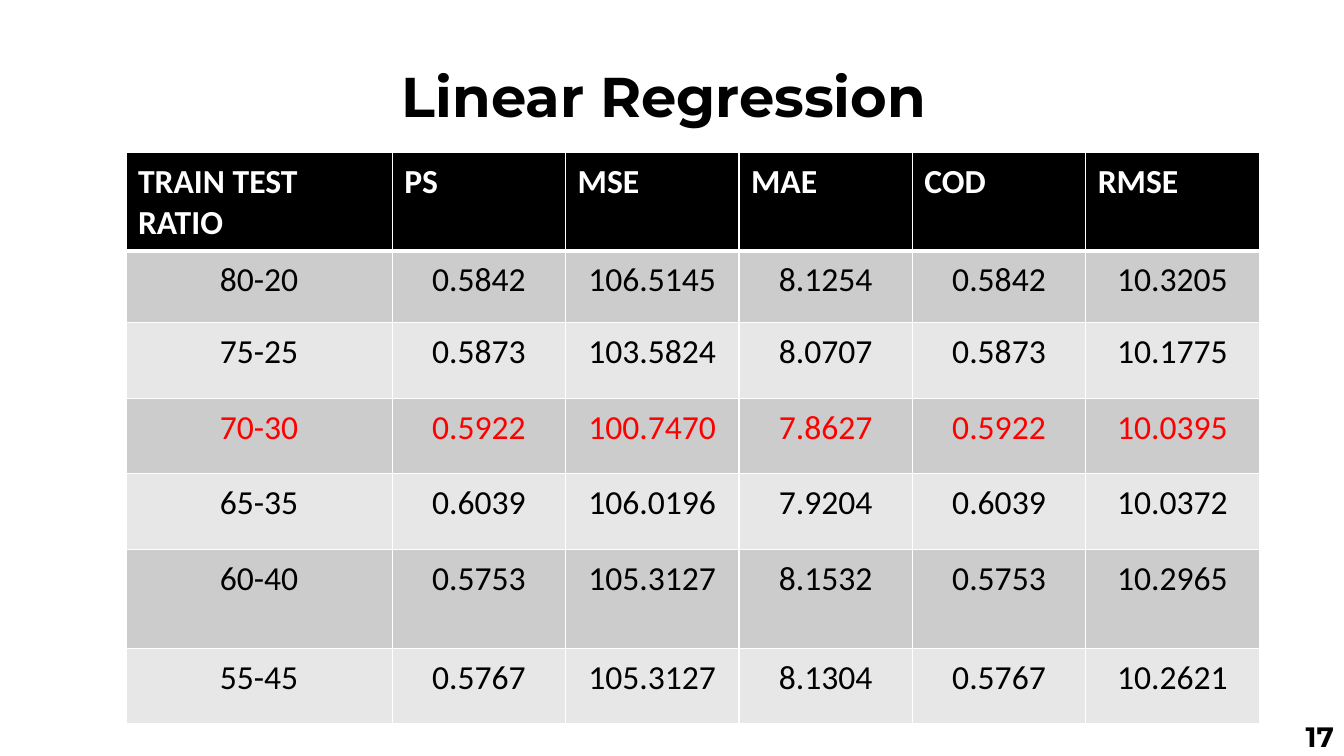
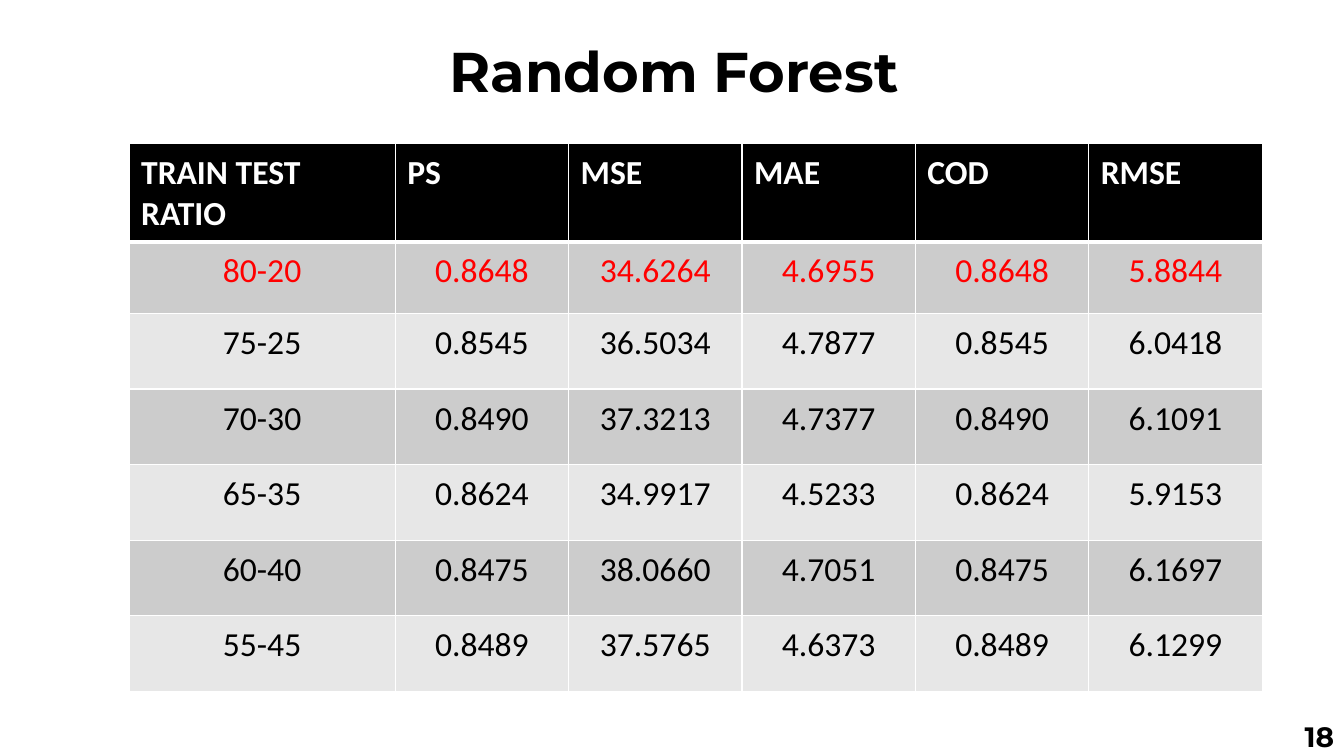
from lxml import etree
from pptx import Presentation
from pptx.dml.color import RGBColor
from pptx.enum.text import MSO_ANCHOR, MSO_AUTO_SIZE, PP_ALIGN
from pptx.oxml.ns import qn
from pptx.util import Inches, Pt

LEFT, CENTER, RIGHT = PP_ALIGN.LEFT, PP_ALIGN.CENTER, PP_ALIGN.RIGHT
TOP, MIDDLE = MSO_ANCHOR.TOP, MSO_ANCHOR.MIDDLE
FIXED = MSO_AUTO_SIZE.NONE

BLACK = RGBColor(0x00, 0x00, 0x00)
WHITE = RGBColor(0xFF, 0xFF, 0xFF)
RED = RGBColor(0xFF, 0x00, 0x00)
BANDS = (RGBColor(0xCC, 0xCC, 0xCC), RGBColor(0xE7, 0xE7, 0xE7))
HEAD_FONT, BODY_FONT = "Montserrat", "Calibri"

WIDE, HIGH = 13.33, 7.5
FIRST_COL = 2.64 / 11.24
HEAD_ROW, FIRST_ROW, ROW, TALL_ROW = 0.97, 0.71, 0.75, 0.98
THIN, THICK = 1, 3
PAD_X, PAD_Y = Inches(0.12), Inches(0.09)

HEADS = ("TRAIN TEST RATIO", "PS", "MSE", "MAE", "COD", "RMSE")
SLIDES = (
    dict(title="Linear Regression", number="17", best="70-30", tall="60-40",
         box=(0.5, 0.56, 12.17, 0.77), align=CENTER, space=1.0,
         grid=(1.25, 1.51, 11.24),
         rows=(("80-20", "0.5842", "106.5145", "8.1254", "0.5842", "10.3205"),
               ("75-25", "0.5873", "103.5824", "8.0707", "0.5873", "10.1775"),
               ("70-30", "0.5922", "100.7470", "7.8627", "0.5922", "10.0395"),
               ("65-35", "0.6039", "106.0196", "7.9204", "0.6039", "10.0372"),
               ("60-40", "0.5753", "105.3127", "8.1532", "0.5753", "10.2965"),
               ("55-45", "0.5767", "105.3127", "8.1304", "0.5767", "10.2621"))),
    dict(title="Random Forest", number="18", best="80-20", tall=None,
         box=(4.36, 0.39, 5.9, 1.4), align=LEFT, space=0.9,
         grid=(1.28, 1.42, 11.24),
         rows=(("80-20", "0.8648", "34.6264", "4.6955", "0.8648", "5.8844"),
               ("75-25", "0.8545", "36.5034", "4.7877", "0.8545", "6.0418"),
               ("70-30", "0.8490", "37.3213", "4.7377", "0.8490", "6.1091"),
               ("65-35", "0.8624", "34.9917", "4.5233", "0.8624", "5.9153"),
               ("60-40", "0.8475", "38.0660", "4.7051", "0.8475", "6.1697"),
               ("55-45", "0.8489", "37.5765", "4.6373", "0.8489", "6.1299"))),
)


def write(frame, text, size=24, font=BODY_FONT, color=BLACK, bold=False,
          align=LEFT, space=1.0):
    """Put one formatted line of text in a text frame."""
    line = frame.paragraphs[0]
    line.alignment, line.line_spacing = align, space
    run = line.add_run()
    run.text = text
    face = run.font
    face.name, face.size, face.bold = font, Pt(size), bold
    face.color.rgb = color


def rule(cell, top, bottom):
    """Draw white borders of the given point widths around a cell."""
    props = cell._tc.get_or_add_tcPr()
    for side, width in zip("LRTB", (THIN, THIN, top, bottom)):
        line = etree.SubElement(props, qn(f"a:ln{side}"), w=str(Pt(width)))
        fill = etree.SubElement(line, qn("a:solidFill"))
        etree.SubElement(fill, qn("a:srgbClr"), val=str(WHITE))


def style(cell, text, fill, top=THIN, bottom=THIN, **form):
    """Fill, border and write one table cell."""
    cell.margin_left = cell.margin_right = PAD_X
    cell.margin_top = cell.margin_bottom = PAD_Y
    rule(cell, top, bottom)
    cell.fill.solid()
    cell.fill.fore_color.rgb = fill
    write(cell.text_frame, text, **form)


def add_title(slide, text, box, align, space):
    """Place and format the title."""
    title = slide.shapes.title
    title.left, title.top, title.width, title.height = map(Inches, box)
    frame = title.text_frame
    frame.word_wrap, frame.auto_size = True, FIXED
    frame.vertical_anchor = TOP
    write(frame, text, size=40, font=HEAD_FONT, bold=True, align=align,
          space=space)


def add_number(slide, text, width=3, height=0.4):
    """Place the page number in the bottom right corner."""
    box = slide.shapes.add_textbox(Inches(WIDE - width), Inches(HIGH - height),
                                   Inches(width), Inches(height))
    frame = box.text_frame
    frame.word_wrap, frame.vertical_anchor = True, MIDDLE
    write(frame, text, size=20, font=HEAD_FONT, bold=True, align=RIGHT)


def add_scores(slide, rows, grid, best, tall):
    """Draw the score table with its best row in red."""
    left, top, width = grid
    sizes = [HEAD_ROW, FIRST_ROW]
    sizes += [TALL_ROW if row[0] == tall else ROW for row in rows[1:]]
    table = slide.shapes.add_table(len(sizes), len(HEADS), Inches(left),
                                   Inches(top), Inches(width),
                                   Inches(sum(sizes))).table
    first = width * FIRST_COL
    rest = (width - first) / (len(HEADS) - 1)
    for i, col in enumerate(table.columns):
        col.width = Inches(rest if i else first)
    for row, size in zip(table.rows, sizes):
        row.height = Inches(size)
    for c, text in enumerate(HEADS):
        style(table.cell(0, c), text, BLACK, bottom=THICK, color=WHITE,
              bold=True)
    for r, row in enumerate(rows):
        for c, text in enumerate(row):
            style(table.cell(r + 1, c), text, BANDS[r % 2],
                  top=THIN if r else THICK, align=CENTER,
                  color=RED if row[0] == best else BLACK)


def add_page(deck, data):
    """Build one result slide."""
    slide = deck.slides.add_slide(deck.slide_layouts[5])
    add_title(slide, data["title"], data["box"], data["align"], data["space"])
    add_number(slide, data["number"])
    add_scores(slide, data["rows"], data["grid"], data["best"], data["tall"])


def main():
    """Build and save the deck."""
    deck = Presentation()
    deck.slide_width, deck.slide_height = Inches(WIDE), Inches(HIGH)
    for data in SLIDES:
        add_page(deck, data)
    deck.save("out.pptx")


if __name__ == "__main__":
    main()
